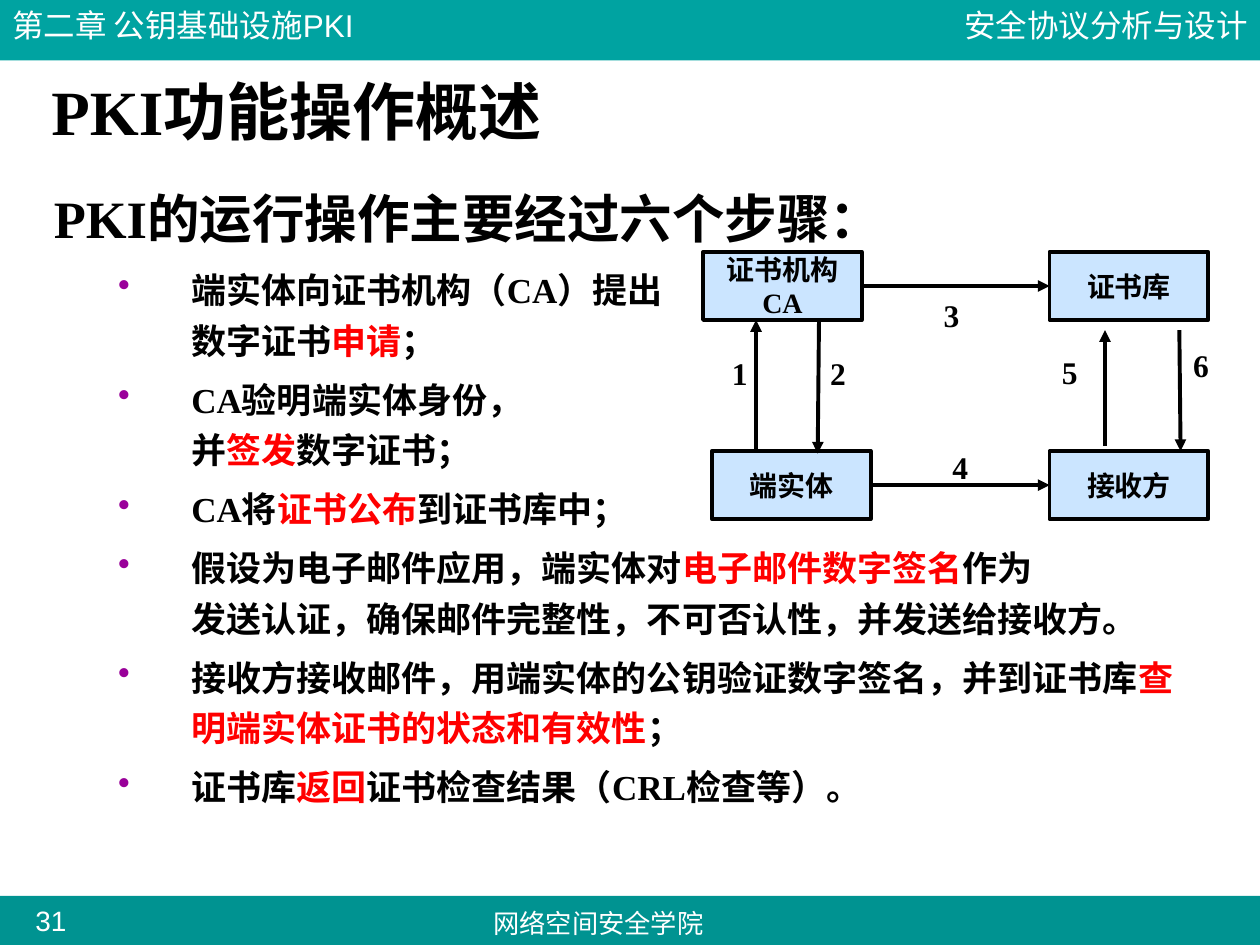
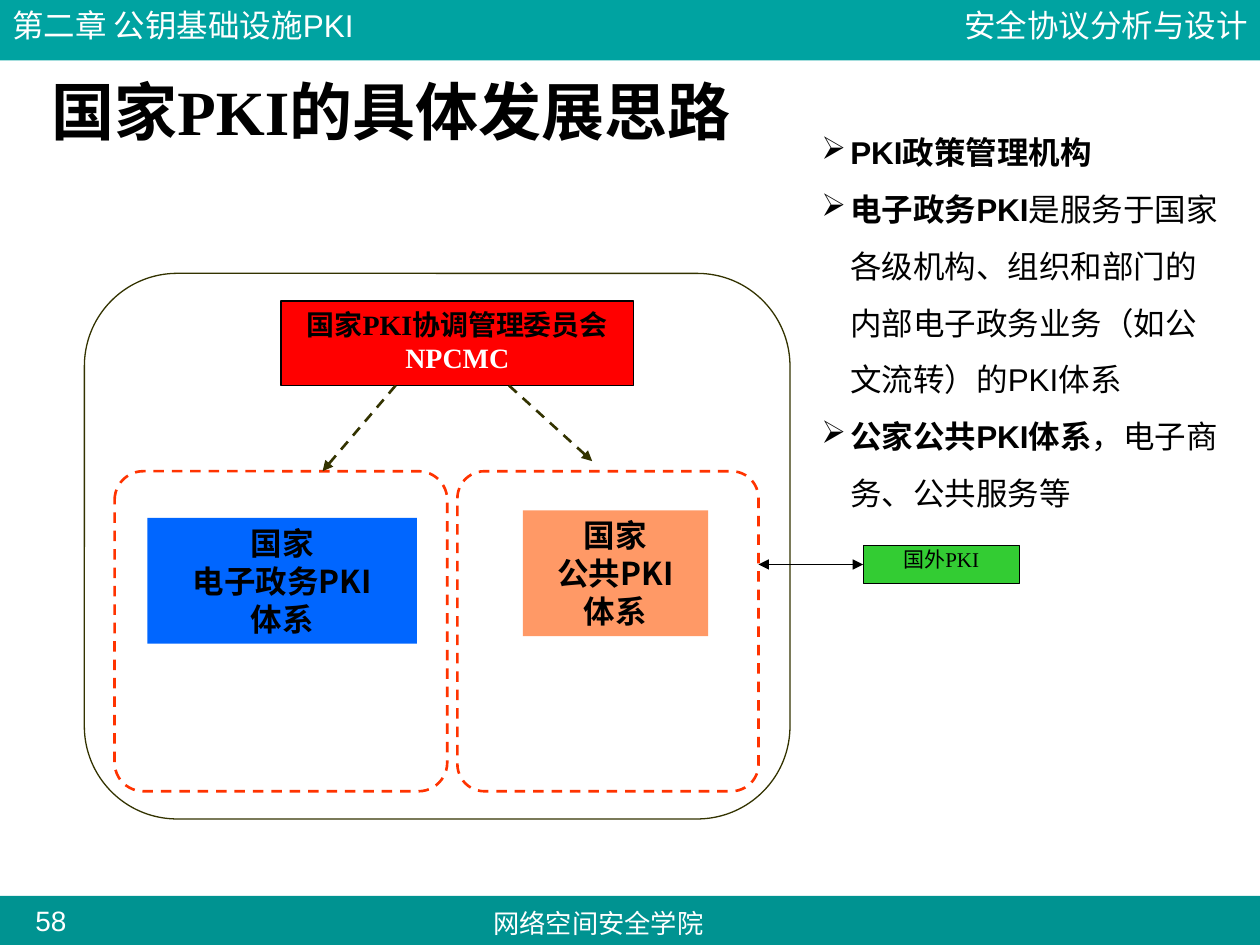
import pptx
import pptx.util
import pptx.dml.color
import pptx.enum.dml
import pptx.enum.shapes
import pptx.enum.text
import pptx.oxml.ns
from lxml import etree

Inches, Pt = pptx.util.Inches, pptx.util.Pt
RGB = pptx.dml.color.RGBColor
KIND = pptx.enum.shapes.MSO_SHAPE
ALIGN = pptx.enum.text.PP_ALIGN
ANCHOR = pptx.enum.text.MSO_ANCHOR
DASH = pptx.enum.dml.MSO_LINE.DASH
qn = pptx.oxml.ns.qn

BLACK = RGB(0, 0, 0)
WHITE = RGB(255, 255, 255)
RED = RGB(255, 0, 0)
TEAL = RGB(0x00, 0xA3, 0xA1)
DEEP = RGB(0x00, 0x93, 0x91)
SKY = RGB(0x99, 0xCC, 0xFF)
OLIVE = RGB(0x33, 0x33, 0x00)
ORANGE = RGB(0xFF, 0x33, 0x00)
BLUE = RGB(0x00, 0x66, 0xFF)
PEACH = RGB(0xFF, 0x99, 0x66)
GREEN = RGB(0x33, 0xCC, 0x33)
PURPLE = "990099"

SERIF, SANS, HAN = "Times New Roman", "Arial", "Noto Sans CJK SC"


def redden(font):
    font.color.rgb = RED


def whiten(font):
    font.color.rgb = WHITE


def thin(font):
    font.bold = False


def write(frame, lines, size, face=SERIF, color=BLACK, bold=True,
          align=ALIGN.CENTER, anchor=ANCHOR.TOP, mark=None, wrap=True):
    """Write one paragraph per line; parts between asterisks are marked."""
    frame.word_wrap = wrap
    frame.vertical_anchor = anchor
    for n, line in enumerate(lines):
        para = frame.paragraphs[0] if n == 0 else frame.add_paragraph()
        para.alignment = align
        for i, piece in enumerate(line.split("*")):
            for j, part in enumerate(piece.split("\n")):
                if j:
                    para.add_line_break()
                if part:
                    run = para.add_run()
                    run.text = part
                    if i % 2:
                        mark(run.font)
        style(para, size, face, color, bold)


def style(para, size, face, color, bold):
    font = para.font
    font.size, font.name, font.bold = Pt(size), face, bold
    font.color.rgb = color


def bullet(para, char, color, left, hang):
    props = para._p.get_or_add_pPr()
    props.set("marL", str(Inches(left)))
    props.set("indent", str(-Inches(hang)))
    tint = etree.Element(qn("a:buClr"))
    etree.SubElement(tint, qn("a:srgbClr"), val=color)
    sign = etree.Element(qn("a:buChar"), char=char)
    font = props.find(qn("a:defRPr"))
    font.addprevious(tint)
    font.addprevious(sign)


def label(slide, x, y, w, h, lines, size, **look):
    box = slide.shapes.add_textbox(Inches(x), Inches(y), Inches(w), Inches(h))
    write(box.text_frame, lines, size, **look)
    return box.text_frame


def block(slide, x, y, w, h, fill=None, line=None, width=0.75,
          kind=KIND.RECTANGLE):
    shape = slide.shapes.add_shape(kind, Inches(x), Inches(y), Inches(w), Inches(h))
    shape.shadow.inherit = False
    if fill is None:
        shape.fill.background()
    else:
        shape.fill.solid()
        shape.fill.fore_color.rgb = fill
    if line is None:
        shape.line.fill.background()
    else:
        shape.line.color.rgb = line
        shape.line.width = Pt(width)
    return shape


def arrow(slide, x1, y1, x2, y2, color=BLACK, width=2.25, dash=False, both=False):
    link = slide.shapes.add_connector(
        pptx.enum.shapes.MSO_CONNECTOR.STRAIGHT,
        Inches(x1), Inches(y1), Inches(x2), Inches(y2))
    link.line.color.rgb = color
    link.line.width = Pt(width)
    if dash:
        link.line.dash_style = DASH
    props = link._element.spPr
    ln = props.find(qn("a:ln"))
    for end in ("a:headEnd", "a:tailEnd") if both else ("a:tailEnd",):
        etree.SubElement(ln, qn(end), type="triangle")
    etree.SubElement(props, qn("a:effectLst"))
    return link


def base(deck, title, number):
    """Start a slide with its bands, running texts and title."""
    slide = deck.slides.add_slide(deck.slide_layouts[6])
    block(slide, 0, 7.11, 10, 0.42, DEEP)
    block(slide, 0, 0, 10, 0.48, TEAL)
    plain = dict(face=SANS, color=WHITE, bold=False)
    label(slide, 6.92, 0, 3.08, 0.4, ["安全协议分析与设计"], 18, align=ALIGN.RIGHT, **plain)
    label(slide, 3.58, 7.15, 2.34, 0.35, ["网络空间安全学院"], 15, **plain)
    page = label(slide, 0.14, 7.17, 0.53, 0.27, [number], 16, **plain)
    page.margin_left = page.margin_right = page.margin_top = page.margin_bottom = 0
    label(slide, 0, 0, 3.08, 0.4, ["第二章 公钥基础设施PKI"], 18, align=ALIGN.LEFT, **plain)
    label(slide, 0.31, 0.58, 9.02, 0.67, [title], 36, align=ALIGN.LEFT,
          anchor=ANCHOR.MIDDLE).paragraphs[0].line_spacing = 0.9
    return slide


def steps(slide, x, y, w, h):
    frame = label(slide, x, y, w, h, [
        "PKI的运行操作主要经过六个步骤：",
        "端实体向证书机构（CA）提出\n数字证书*申请*；",
        "CA验明端实体身份，\n并*签发*数字证书；",
        "CA将*证书公布*到证书库中；",
        "假设为电子邮件应用，端实体对*电子邮件数字签名*作为\n"
        "发送认证，确保邮件完整性，不可否认性，并发送给接收方。",
        "接收方接收邮件，用端实体的公钥验证数字签名，并到证书库"
        "*查明端实体证书的状态和有效性*；",
        "证书库*返回*证书检查结果（CRL检查等）。",
    ], 20, align=ALIGN.LEFT, mark=redden)
    head, *items = frame.paragraphs
    head.font.size = Pt(30)
    head.line_spacing = 1.2
    head.space_after = Pt(3.7)
    for item in items:
        item.line_spacing = 1.2
        item.space_before = item.space_after = Pt(2.5)
        bullet(item, "•", PURPLE, 1.09, 0.58)


def party(slide, x, y, name):
    box = block(slide, x, y, 1.26, 0.54, SKY, BLACK, 2.25)
    tint = box._element.spPr.find(qn("a:solidFill"))[0]
    etree.SubElement(tint, qn("a:alpha"), val="50000")
    write(box.text_frame, [name], 16, anchor=ANCHOR.MIDDLE)
    return box


def flow(slide, x, y):
    """Four parties and the six numbered exchanges between them."""
    right, low = x + 2.75, y + 1.58
    agency = party(slide, x, y, "证书机构\nCA")
    store = party(slide, right, y, "证书库")
    entity = party(slide, x + 0.07, low, "端实体")
    taker = party(slide, right, low, "接收方")
    for x1, y1, x2, y2 in [(0.42, 1.56, 0.42, 0.54), (0.92, 0.54, 0.91, 1.6),
                           (3.19, 1.54, 3.19, 0.62), (3.78, 0.62, 3.79, 1.58)]:
        arrow(slide, x + x1, y + y1, x + x2, y + y2)
    for start, end, level in [(agency, store, y), (entity, taker, low)]:
        link = arrow(slide, x + 1.26, level + 0.27, right, level + 0.27)
        link.begin_connect(start, 3)
        link.end_connect(end, 1)
    spots = [(0.13, 0.76), (0.91, 0.76), (1.81, 0.3),
             (1.88, 1.51), (2.75, 0.75), (3.79, 0.7)]
    for n, (dx, dy) in enumerate(spots, 1):
        label(slide, x + dx, y + dy, 0.32, 0.4, [str(n)], 18,
              anchor=ANCHOR.MIDDLE, wrap=False)


def zone(slide, x, y, w, h, curve, line, width):
    box = block(slide, x, y, w, h, None, line, width, KIND.ROUNDED_RECTANGLE)
    box.adjustments[0] = curve
    return box


def nation(slide, x, y):
    """The national scheme, its two branches and the foreign link."""
    zone(slide, x, y, 5.6, 4.33, 0.17, OLIVE, 0.75)
    board = block(slide, x + 1.56, y + 0.22, 2.8, 0.67, RED, BLACK)
    write(board.text_frame, ["国家PKI协调管理委员会", "*NPCMC*"], 16, mark=whiten)
    for dx, w in [(0.24, 2.64), (2.96, 2.39)]:
        zone(slide, x + dx, y + 1.57, w, 2.54, 0.09, ORANGE, 1.5).line.dash_style = DASH
    for dx, dy, w, fill, name in [(0.5, 1.94, 2.14, BLUE, "电子政务PKI"),
                                  (3.48, 1.88, 1.47, PEACH, "公共PKI")]:
        branch = block(slide, x + dx, y + dy, w, 1, fill)
        write(branch.text_frame, ["国家", name, "体系"], 18, face=HAN)
    for x1, x2, y2 in [(3.37, 4.03, 1.49), (2.47, 1.89, 1.57)]:
        arrow(slide, x + x1, y + 0.89, x + x2, y + y2, OLIVE, 1.5, dash=True)
    abroad = block(slide, x + 6.18, y + 2.16, 1.24, 0.3, GREEN, BLACK, 0.5)
    write(abroad.text_frame, ["国外PKI"], 12, bold=False)
    abroad.text_frame.margin_top = abroad.text_frame.margin_bottom = Inches(0.01)
    link = arrow(slide, x + 5.35, y + 2.31, x + 6.18, y + 2.31, width=0.75, both=True)
    link.end_connect(abroad, 1)


def notes(slide, x, y, w, h):
    frame = label(slide, x, y, w, h, [
        "PKI政策管理机构",
        "电子政务PKI*是服务于国家各级机构、组织和部门的内部电子政务业务"
        "（如公文流转）的PKI体系*",
        "公家公共PKI体系*，电子商务、公共服务等*",
    ], 18, face=SANS, align=ALIGN.LEFT, mark=thin)
    for para in frame.paragraphs:
        para.line_spacing = 1.5
        bullet(para, "➢", "000000", 0.23, 0.23)


def main():
    deck = pptx.Presentation()
    deck.slide_width, deck.slide_height = Inches(10), Inches(7.5)

    slide = base(deck, "PKI功能操作概述", "31")
    steps(slide, 0.33, 1.33, 9.34, 5.49)
    flow(slide, 5.58, 2)

    slide = base(deck, "国家PKI的具体发展思路", "58")
    nation(slide, 0.67, 2.17)
    notes(slide, 6.42, 0.86, 3.36, 3.25)

    deck.save("out.pptx")


if __name__ == "__main__":
    main()
